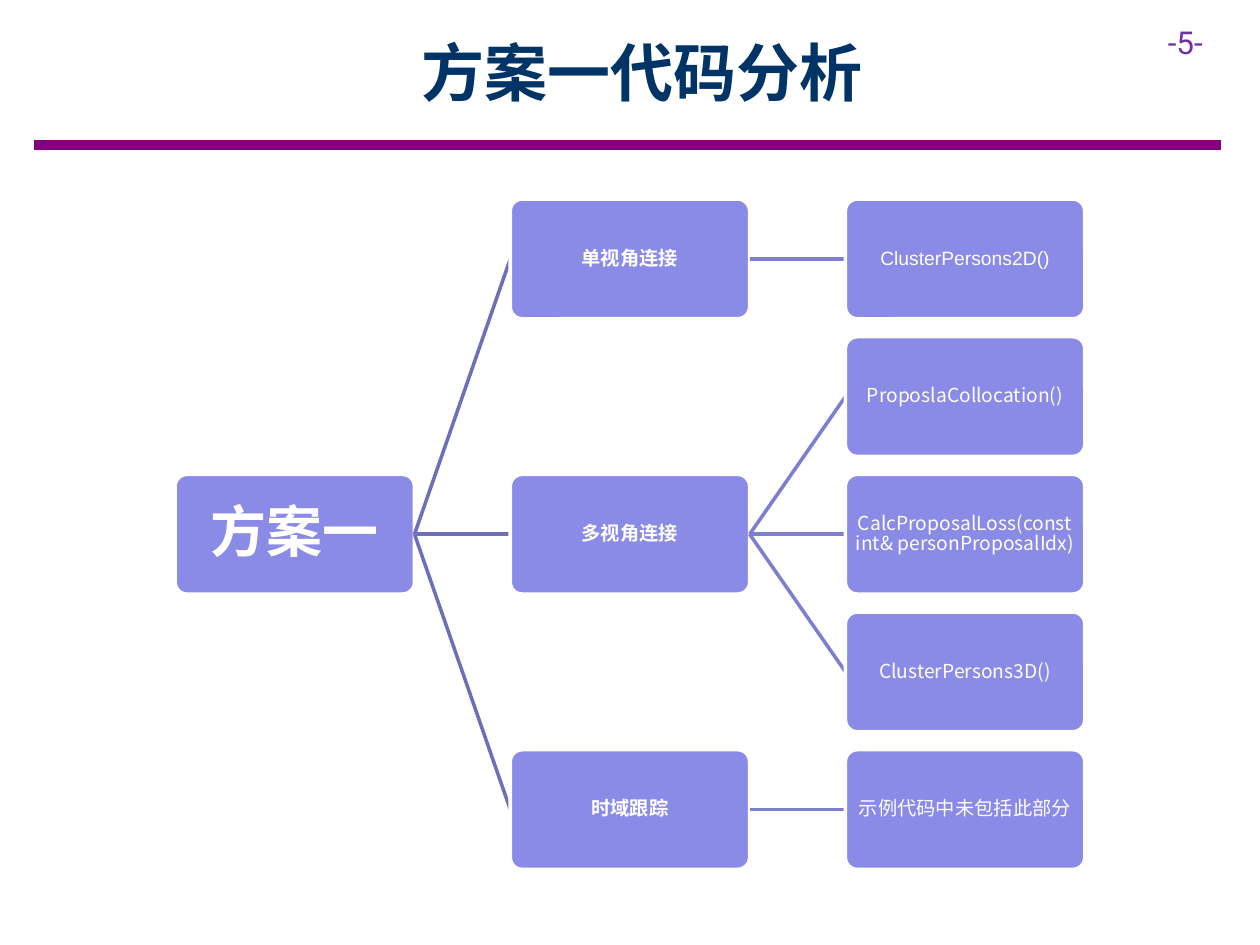
"""Builds the code analysis slide with its three-level tree."""
import pptx
import pptx.dml.color
import pptx.enum.shapes
import pptx.enum.text
import pptx.oxml
import pptx.oxml.ns
import pptx.util
from pptx.util import Inches

CJK = "Noto Sans CJK SC"
BOX_W, BOX_H = 1.9, 0.95
LEFT, TOP = 1.39, 1.58
COL_STEP, ROW_STEP = 2.66, (5.95 - 1.58) / 4
BRANCH_COLORS = ["6F6FB9", "7D7DD2"]

ROOT = ("方案一", 2)
BRANCHES = [
    ("单视角连接", 0, [("ClusterPersons2D()", 0, "Arial")]),
    ("多视角连接", 2, [
        ("ProposlaCollocation()", 1, CJK),
        ("CalcProposalLoss(const int& personProposalIdx)", 2, CJK),
        ("ClusterPersons3D()", 3, CJK),
    ]),
    ("时域跟踪", 4, [("示例代码中未包括此部分", 4, CJK)]),
]


def rgb(value):
    return pptx.dml.color.RGBColor.from_string(value)


class TreeSlide:
    def __init__(self, slide):
        self.s = slide

    def add_label(self, sp, text, size, color, font=CJK, bold=False, center=True, margin=None):
        tf = sp.text_frame
        tf.word_wrap = True
        if center:
            tf.vertical_anchor = pptx.enum.text.MSO_ANCHOR.MIDDLE
        if margin is not None:
            tf.margin_left = tf.margin_right = Inches(margin)
            tf.margin_top = tf.margin_bottom = Inches(margin)
        p = tf.paragraphs[0]
        align = pptx.enum.text.PP_ALIGN
        p.alignment = align.CENTER if center else align.LEFT
        r = p.add_run()
        r.text = text
        r.font.size = pptx.util.Pt(size)
        r.font.bold = bold
        r.font.color.rgb = rgb(color)
        r.font.name = font
        ea = pptx.oxml.parse_xml(f'<a:ea {pptx.oxml.ns.nsdecls("a")} typeface="{CJK}"/>')
        r.font._element.append(ea)
        return p

    def text(self, left, top, width, height, text, size, color, **style):
        sp = self.s.shapes.add_textbox(
            Inches(left), Inches(top), Inches(width), Inches(height))
        self.add_label(sp, text, size, color, **style)

    def line(self, start, end, color, width):
        cn = self.s.shapes.add_connector(
            pptx.enum.shapes.MSO_CONNECTOR.STRAIGHT,
            *(Inches(v) for v in (*start, *end)))
        cn.line.color.rgb = rgb(color)
        cn.line.width = pptx.util.Pt(width)
        effects = pptx.oxml.parse_xml(f'<a:effectLst {pptx.oxml.ns.nsdecls("a")}/>')
        cn._element.spPr.append(effects)

    def node(self, col, row, text, size=11, font=CJK, bold=False, margin=0.01):
        sp = self.s.shapes.add_shape(
            pptx.enum.shapes.MSO_SHAPE.ROUNDED_RECTANGLE,
            Inches(LEFT + col * COL_STEP), Inches(TOP + row * ROW_STEP),
            Inches(BOX_W), Inches(BOX_H))
        sp.adjustments[0] = 0.1
        sp.shadow.inherit = False
        sp.fill.solid()
        sp.fill.fore_color.rgb = rgb("8A8AE7")
        sp.line.color.rgb = rgb("FFFFFF")
        sp.line.width = pptx.util.Pt(2)
        p = self.add_label(sp, text, size, "FFFFFF", font=font, bold=bold, margin=margin)
        p.line_spacing = 0.9

    def branch(self, col, parent_row, child_row):
        x = LEFT + col * COL_STEP
        y1, y2 = (TOP + row * ROW_STEP + BOX_H / 2 for row in (parent_row, child_row))
        self.line((x + BOX_W, y1), (x + COL_STEP, y2), BRANCH_COLORS[col], 2)


def main():
    prs = pptx.Presentation()
    prs.slide_width, prs.slide_height = Inches(10), Inches(7.5)
    s = TreeSlide(prs.slides.add_slide(prs.slide_layouts[6]))

    s.line((0.27, 1.15), (9.69, 1.15), "800080", 6)
    s.text(9.17, 0.13, 0.83, 0.4, "-5-", 18, "7030A0", font="Roboto", center=False)
    s.text(0.94, 0.07, 8.31, 1, "方案一代码分析", 36, "003366", bold=True)

    root, root_row = ROOT
    s.node(0, root_row, root, size=32, bold=True, margin=0.02)
    for label, row, leaves in BRANCHES:
        s.branch(0, root_row, row)
        s.node(1, row, label, bold=True)
        for leaf, leaf_row, font in leaves:
            s.branch(1, row, leaf_row)
            s.node(2, leaf_row, leaf, font=font)

    prs.save("out.pptx")


if __name__ == "__main__":
    main()
